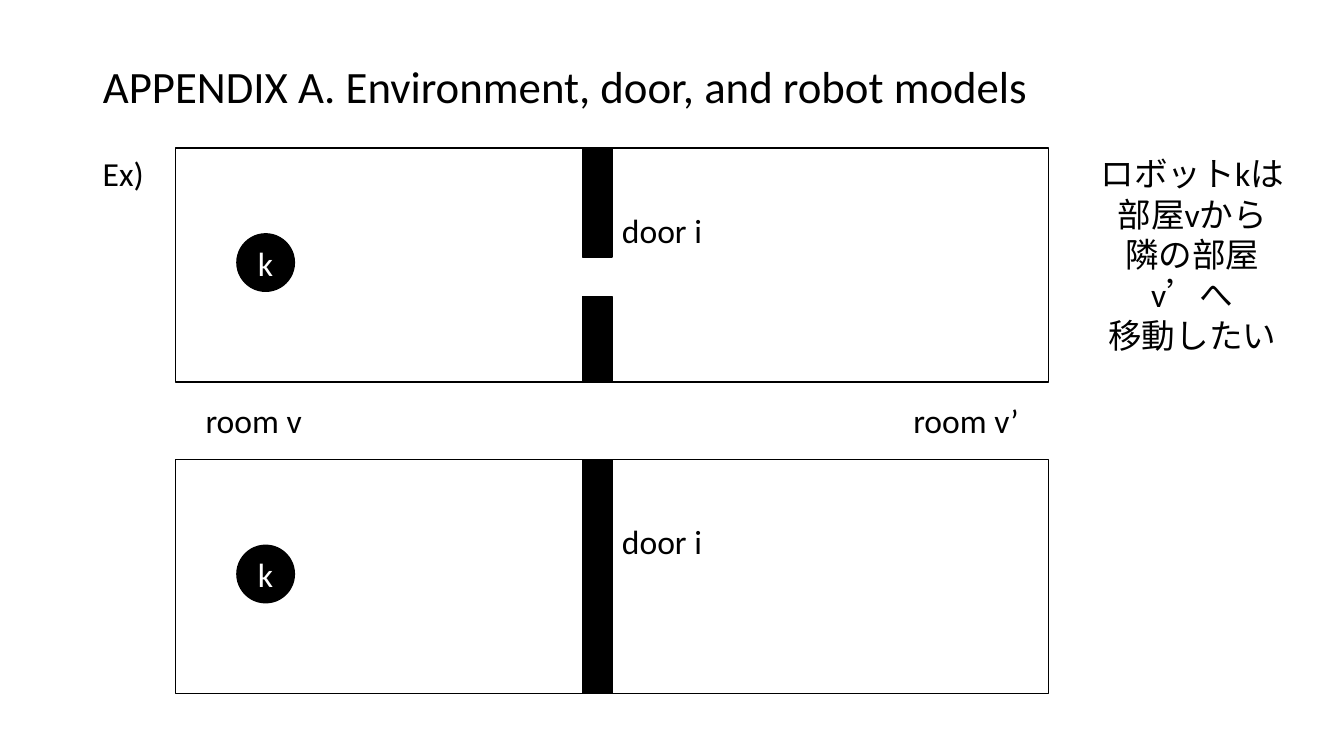
from lxml import etree
from pptx import Presentation
from pptx.dml.color import RGBColor
from pptx.enum.shapes import MSO_CONNECTOR, MSO_SHAPE
from pptx.enum.text import MSO_ANCHOR, MSO_AUTO_SIZE, PP_ALIGN
from pptx.oxml.ns import qn
from pptx.util import Inches, Pt

FONT = "Calibri"
BLACK, WHITE = "000000", "FFFFFF"
ROOM_LEFT, ROOM_WIDTH, ROOM_HEIGHT = 1.74, 8.66, 2.32
WALL_LEFT, WALL_WIDTH = 5.78, 0.29
DOOR_LEFT = WALL_LEFT + WALL_WIDTH
ROBOT_SIZE = 0.57


def color(value):
    return RGBColor.from_string(value)


def box(left, top, width, height):
    return [Inches(length) for length in (left, top, width, height)]


def write(frame, lines, size=24, text_color=BLACK, align=PP_ALIGN.LEFT):
    frame.word_wrap = True
    for index, line in enumerate(lines):
        paragraph = frame.add_paragraph() if index else frame.paragraphs[0]
        paragraph.text = line
        paragraph.alignment = align
        paragraph.font.name = FONT
        paragraph.font.size = Pt(size)
        paragraph.font.color.rgb = color(text_color)


def add_title(slide, text):
    title = slide.shapes.title
    title.left, title.top, title.width, title.height = box(0.92, 0.16, 11.5, 1.45)
    frame = title.text_frame
    write(frame, [text], size=32)
    frame.auto_size = MSO_AUTO_SIZE.NONE
    frame.vertical_anchor = MSO_ANCHOR.MIDDLE
    frame.paragraphs[0].line_spacing = 0.9


def add_label(slide, lines, left, top, width, height=0.5, align=PP_ALIGN.LEFT):
    label = slide.shapes.add_textbox(*box(left, top, width, height))
    write(label.text_frame, lines, align=align)


def add_block(slide, kind, left, top, width, height, fill=BLACK):
    shape = slide.shapes.add_shape(kind, *box(left, top, width, height))
    shape.shadow.inherit = False
    if fill:
        shape.fill.solid()
        shape.fill.fore_color.rgb = color(fill)
    else:
        shape.fill.background()
    shape.line.color.rgb = color(BLACK)
    shape.line.width = Pt(1)
    return shape


def add_door_line(slide, top, bottom):
    line = slide.shapes.add_connector(
        MSO_CONNECTOR.STRAIGHT, Inches(DOOR_LEFT), Inches(top),
        Inches(DOOR_LEFT), Inches(bottom))
    line.line.color.rgb = color(BLACK)
    line.line.width = Pt(0.5)
    properties = line._element.find(qn("p:spPr"))
    etree.SubElement(properties, qn("a:effectLst"))


def add_robot(slide, left, top):
    robot = add_block(slide, MSO_SHAPE.OVAL, left, top, ROBOT_SIZE, ROBOT_SIZE)
    frame = robot.text_frame
    frame.margin_left = frame.margin_right = 0
    frame.vertical_anchor = MSO_ANCHOR.MIDDLE
    write(frame, ["k"], text_color=WHITE, align=PP_ALIGN.CENTER)


def add_environment(slide, top, walls):
    """Two rooms; walls lists the (offset, height) of each wall piece."""
    add_block(slide, MSO_SHAPE.RECTANGLE, ROOM_LEFT, top,
              ROOM_WIDTH, ROOM_HEIGHT, fill=None)
    add_door_line(slide, top, top + 1.07)
    add_door_line(slide, top + 1.53, top + ROOM_HEIGHT)
    add_label(slide, ["door i"], DOOR_LEFT, top + 0.56, 1.18)
    add_robot(slide, 2.35, top + 0.85)
    for offset, height in walls:
        add_block(slide, MSO_SHAPE.RECTANGLE, WALL_LEFT, top + offset,
                  WALL_WIDTH, height)


def main():
    presentation = Presentation()
    presentation.slide_width = Inches(13.33)
    presentation.slide_height = Inches(7.5)
    slide = presentation.slides.add_slide(presentation.slide_layouts[5])

    add_title(slide, "APPENDIX A. Environment, door, and robot models")
    add_label(slide, ["Ex)"], 0.92, 1.47, 0.8)

    # Open door above, closed door below
    add_environment(slide, 1.47, [(0, 1.08), (1.47, 0.84)])
    add_environment(slide, 4.56, [(0, ROOM_HEIGHT)])

    # Room names
    add_label(slide, ["room v"], 1.94, 3.92, 1.18)
    add_label(slide, ["room v’"], 8.96, 3.92, 1.37)

    # Goal of the robot
    add_label(slide, ["ロボットkは", "部屋vから", "隣の部屋v’へ", "移動したい"],
              10.7, 1.47, 2.25, 1.72, PP_ALIGN.CENTER)

    presentation.save("out.pptx")


if __name__ == "__main__":
    main()
